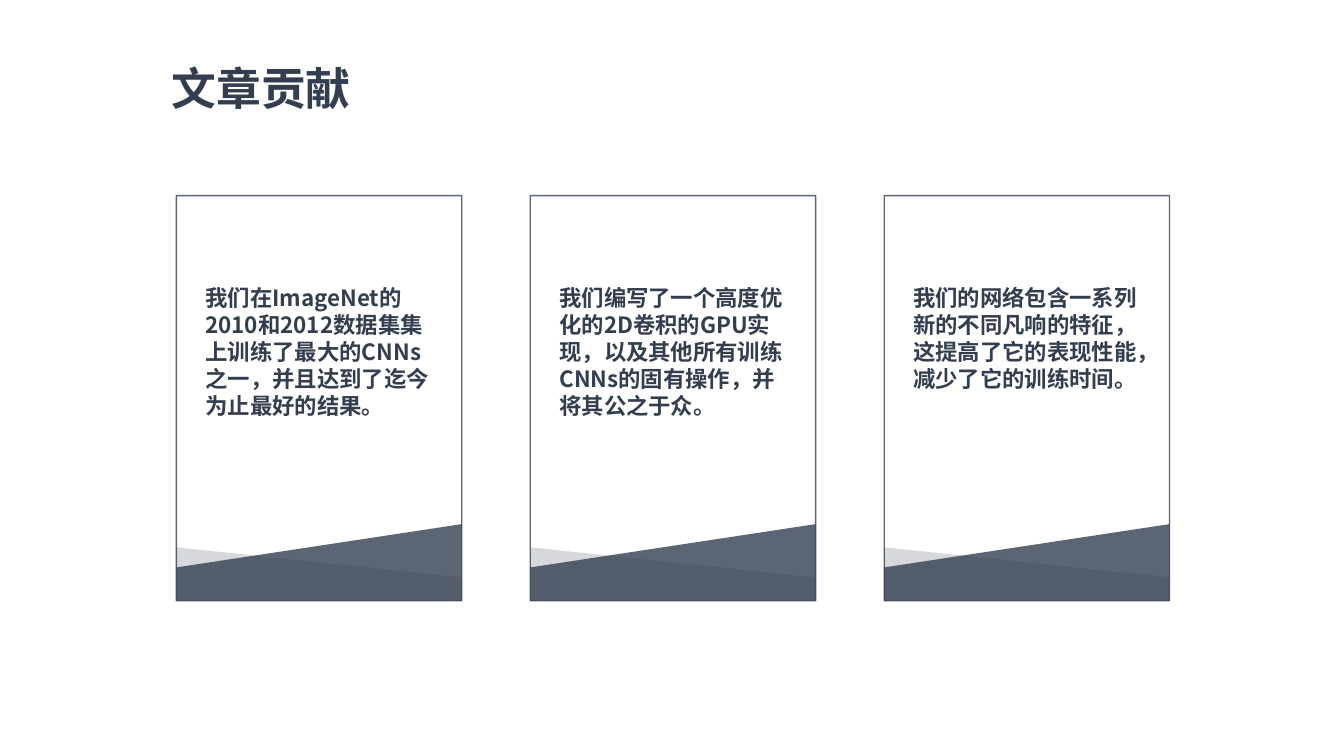
from dataclasses import dataclass

from lxml.etree import SubElement
from pptx import Presentation
from pptx.dml.color import RGBColor
from pptx.dml.fill import FillFormat
from pptx.enum.shapes import MSO_SHAPE
from pptx.enum.text import MSO_ANCHOR, MSO_AUTO_SIZE, PP_ALIGN
from pptx.oxml.ns import qn
from pptx.slide import Slide
from pptx.text.text import TextFrame
from pptx.util import Inches, Pt


@dataclass(frozen=True)
class Theme:
    font: str = "Noto Sans CJK SC"
    navy: RGBColor = RGBColor(0x33, 0x3F, 0x50)
    title_size: int = 32
    body_size: int = 16
    strong: int = 80  # opacity in percent
    faint: int = 20


@dataclass(frozen=True)
class Card:
    left: float
    text: str


THEME = Theme()
CARD_LEFT, CARD_TOP, CARD_PITCH = 1.75, 1.94, 3.51
CARD_WIDTH, CARD_HEIGHT = 2.83, 4.02
CARD_BOTTOM = CARD_TOP + CARD_HEIGHT

CONTRIBUTIONS = (
    "我们在ImageNet的2010和2012数据集集上训练了最大的CNNs之一，并且达到了迄今为止最好的结果。",
    "我们编写了一个高度优化的2D卷积的GPU实现，以及其他所有训练CNNs的固有操作，并将其公之于众。",
    "我们的网络包含一系列新的不同凡响的特征，这提高了它的表现性能，减少了它的训练时间。",
)


def paint(fill: FillFormat, owner, opacity: int) -> None:
    """Apply the navy colour at an opacity; owner is the XML holding the fill."""
    fill.solid()
    fill.fore_color.rgb = THEME.navy
    color = owner.find(qn("a:solidFill")).find(qn("a:srgbClr"))
    SubElement(color, qn("a:alpha")).set("val", str(opacity * 1000))


def write(frame: TextFrame, text: str, size: int) -> None:
    frame.word_wrap = True
    frame.auto_size = MSO_AUTO_SIZE.SHAPE_TO_FIT_TEXT
    frame.vertical_anchor = MSO_ANCHOR.TOP
    paragraph = frame.paragraphs[0]
    paragraph.text = text
    paragraph.alignment = PP_ALIGN.LEFT
    font = paragraph.font
    font.name = THEME.font
    font.size = Pt(size)
    font.bold = True
    font.color.rgb = THEME.navy
    # Chinese characters take the East Asian typeface
    defaults = next(paragraph._p.iter(qn("a:defRPr")))
    SubElement(defaults, qn("a:ea")).set("typeface", THEME.font)


def add_wedge(slide: Slide, card: Card, left_top: float, right_top: float, opacity: int) -> None:
    right = card.left + CARD_WIDTH
    builder = slide.shapes.build_freeform(Inches(card.left), Inches(left_top))
    corners = ((right, right_top), (right, CARD_BOTTOM), (card.left, CARD_BOTTOM))
    builder.add_line_segments([(Inches(x), Inches(y)) for x, y in corners], close=True)
    shape = builder.convert_to_shape()
    shape.shadow.inherit = False
    paint(shape.fill, shape._element.spPr, opacity)
    shape.line.fill.background()


def add_frame(slide: Slide, card: Card) -> None:
    shape = slide.shapes.add_shape(
        MSO_SHAPE.RECTANGLE, Inches(card.left), Inches(CARD_TOP),
        Inches(CARD_WIDTH), Inches(CARD_HEIGHT),
    )
    shape.shadow.inherit = False
    shape.fill.background()
    shape.line.width = Pt(1)
    paint(shape.line.fill, shape._element.spPr.find(qn("a:ln")), THEME.strong)


def add_card_text(slide: Slide, card: Card) -> None:
    box = slide.shapes.add_textbox(
        Inches(card.left + 0.19), Inches(2.77), Inches(2.43), Inches(1.45)
    )
    write(box.text_frame, card.text, THEME.body_size)


def add_title(slide: Slide, text: str) -> None:
    title = slide.shapes.title
    title.left, title.top = Inches(1.6), Inches(0.55)
    title.width, title.height = Inches(3.11), Inches(0.64)
    write(title.text_frame, text, THEME.title_size)


def main() -> None:
    presentation = Presentation()
    presentation.slide_width = Inches(13.33)
    presentation.slide_height = Inches(7.5)
    slide = presentation.slides.add_slide(presentation.slide_layouts[5])
    add_title(slide, "文章贡献")

    # Cards: pale wedge, frame, dark wedge, then text
    for index, text in enumerate(CONTRIBUTIONS):
        card = Card(CARD_LEFT + index * CARD_PITCH, text)
        add_wedge(slide, card, 5.43, 5.73, THEME.faint)
        add_frame(slide, card)
        add_wedge(slide, card, 5.63, 5.2, THEME.strong)
        add_card_text(slide, card)

    presentation.save("out.pptx")


if __name__ == "__main__":
    main()
